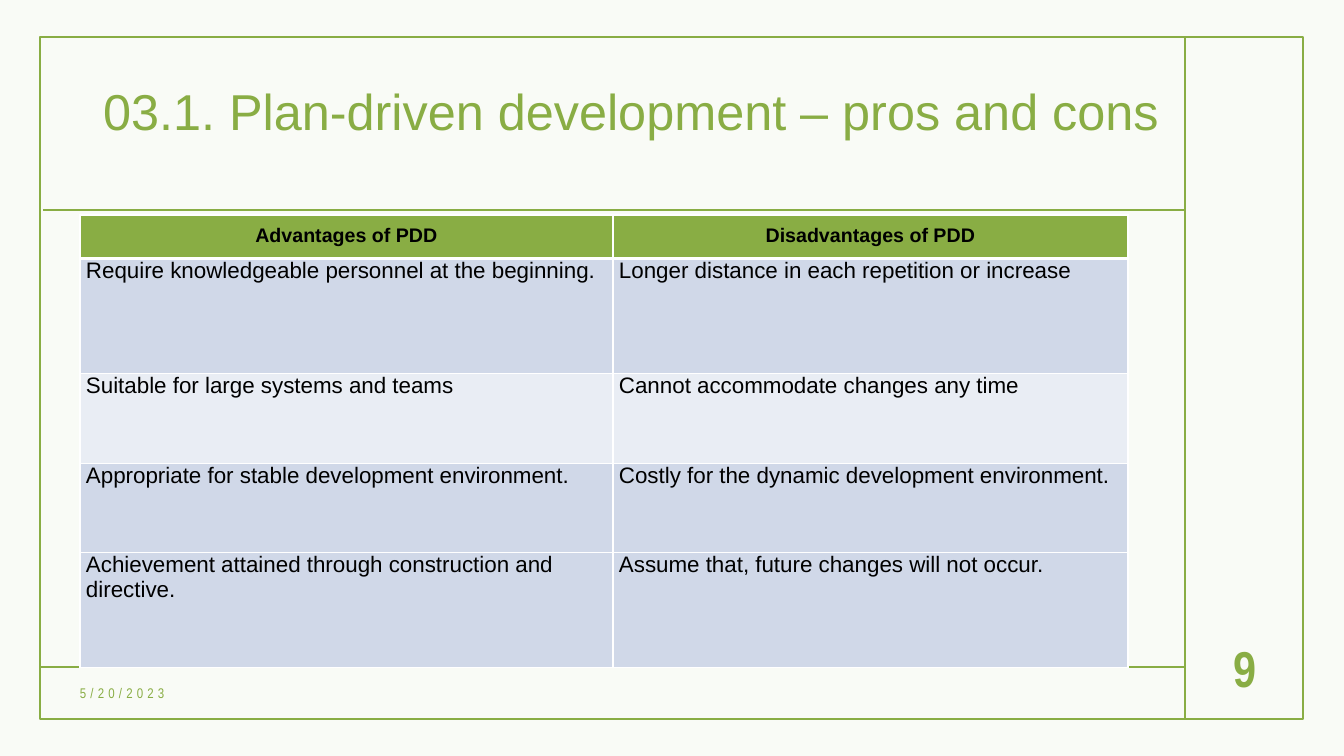
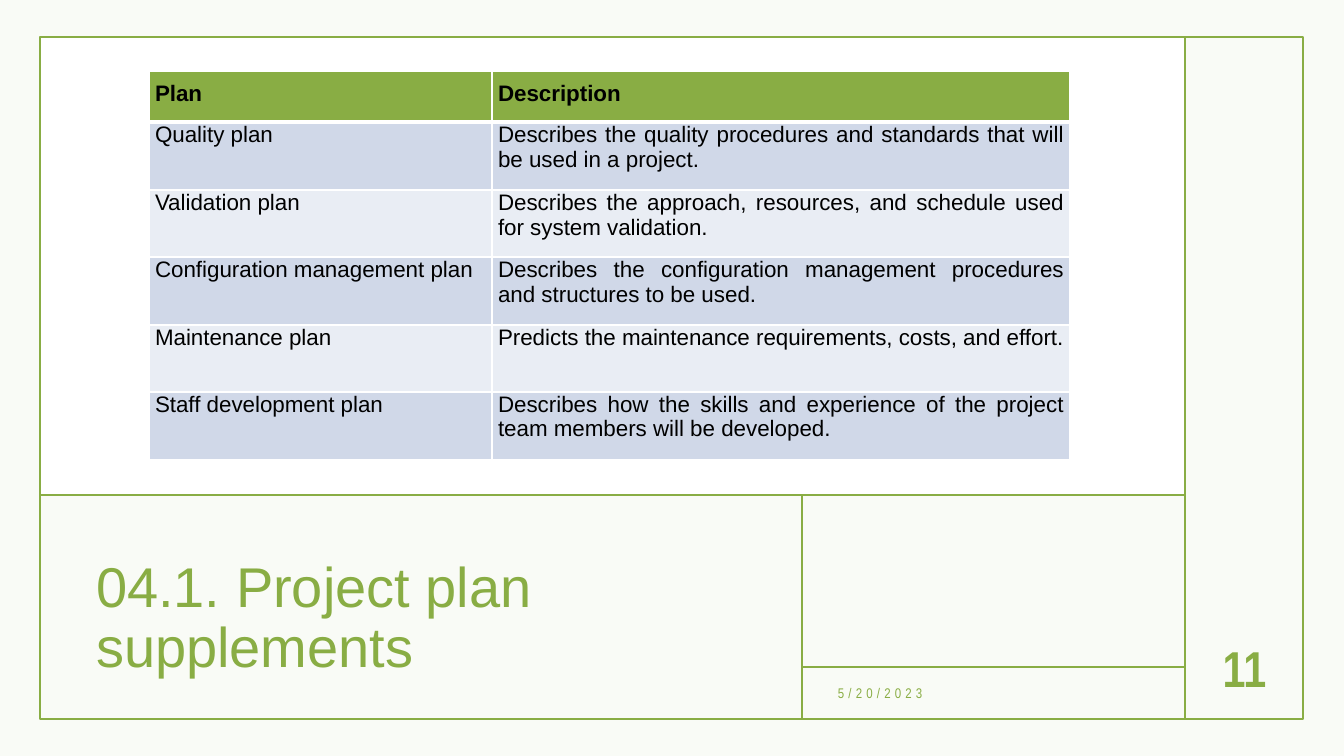
from dataclasses import dataclass
from itertools import cycle

from lxml.etree import SubElement
from pptx import Presentation
from pptx.dml.color import RGBColor
from pptx.enum.shapes import MSO_CONNECTOR as Connector, MSO_SHAPE as Shape
from pptx.enum.text import MSO_ANCHOR as Anchor, MSO_AUTO_SIZE as AutoSize, PP_ALIGN as Align
from pptx.oxml import parse_xml
from pptx.oxml.ns import nsdecls, qn
from pptx.util import Emu, Pt

SLIDE_WIDTH, SLIDE_HEIGHT = 1344, 756
EMU_PER_PX = 12192000 / SLIDE_WIDTH
TITLE_ONLY = 5

FRAME_LEFT, FRAME_TOP, FRAME_RIGHT, FRAME_BOTTOM = 40, 37, 1303, 719
RAIL_X = 1185
FOOTER_LINE_Y = 667


@dataclass(frozen=True)
class Theme:
    accent: str = "89AD44"
    background: str = "F9FBF6"
    white: str = "FFFFFF"
    ink: str = "000000"
    band_dark: str = "D0D8E8"
    band_light: str = "E9EDF4"
    font: str = "Arial"
    narrow_font: str = "Arial Narrow"
    title_size: int = 36
    large_title_size: int = 40
    number_size: int = 36
    date_size: int = 10
    body_size: int = 16
    small_header_size: int = 14
    line_width: int = 1
    header_rule_width: int = 3


THEME = Theme()


def px(length):
    return Emu(round(length * EMU_PER_PX))


def rgb(color):
    return RGBColor.from_string(color)


def put_text(frame, text, *, size, color=THEME.accent, font=THEME.font, bold=False,
             align=Align.LEFT, line_spacing=None, tracking=None):
    paragraph = frame.paragraphs[0]
    paragraph.alignment = align
    if line_spacing:
        paragraph.line_spacing = line_spacing
    run = paragraph.add_run()
    run.text = text
    run.font.name = font
    run.font.size = Pt(size)
    run.font.bold = bold
    run.font.color.rgb = rgb(color)
    if tracking:
        run.font._element.set("spc", str(tracking * 100))


def set_borders(cell, top, bottom):
    """Give the cell white borders; top and bottom are widths in points."""
    properties = cell._tc.get_or_add_tcPr()
    widths = {"L": THEME.line_width, "R": THEME.line_width, "T": top, "B": bottom}
    for position, (side, width) in enumerate(widths.items()):
        border = parse_xml(
            f'<a:ln{side} {nsdecls("a")} w="{Pt(width)}"><a:solidFill>'
            f'<a:srgbClr val="{THEME.white}"/></a:solidFill></a:ln{side}>')
        properties.insert(position, border)


class Deck:
    def __init__(self):
        self.presentation = Presentation()
        self.presentation.slide_width = px(SLIDE_WIDTH)
        self.presentation.slide_height = px(SLIDE_HEIGHT)
        self.slide = None

    def add_slide(self):
        layout = self.presentation.slide_layouts[TITLE_ONLY]
        self.slide = self.presentation.slides.add_slide(layout)
        fill = self.slide.background.fill
        fill.solid()
        fill.fore_color.rgb = rgb(THEME.background)

    def title(self, text, left, top, width, height, *, size, anchor):
        title = self.slide.shapes.title
        title.left, title.top = px(left), px(top)
        title.width, title.height = px(width), px(height)
        frame = title.text_frame
        frame.auto_size = AutoSize.NONE
        frame.word_wrap = True
        frame.vertical_anchor = anchor
        put_text(frame, text, size=size, line_spacing=0.9)

    def rectangle(self, left, top, width, height, *, fill=None, line=None):
        shape = self.slide.shapes.add_shape(
            Shape.RECTANGLE, px(left), px(top), px(width), px(height))
        shape.shadow.inherit = False
        if fill:
            shape.fill.solid()
            shape.fill.fore_color.rgb = rgb(fill)
        else:
            shape.fill.background()
        if line:
            shape.line.color.rgb = rgb(line)
            shape.line.width = Pt(THEME.line_width)
        else:
            shape.line.fill.background()

    def line(self, x1, y1, x2, y2):
        connector = self.slide.shapes.add_connector(
            Connector.STRAIGHT, px(x1), px(y1), px(x2), px(y2))
        connector.line.color.rgb = rgb(THEME.accent)
        connector.line.width = Pt(THEME.line_width)
        SubElement(connector._element.spPr, qn("a:effectLst"))

    def text_box(self, text, left, top, width, height, **text_format):
        box = self.slide.shapes.add_textbox(px(left), px(top), px(width), px(height))
        frame = box.text_frame
        frame.word_wrap = True
        frame.vertical_anchor = Anchor.MIDDLE
        put_text(frame, text, **text_format)

    def frame(self, footer_left):
        """Draw the outer frame, the right-hand rail and the line above the date."""
        self.rectangle(FRAME_LEFT, FRAME_TOP, FRAME_RIGHT - FRAME_LEFT,
                       FRAME_BOTTOM - FRAME_TOP, line=THEME.accent)
        self.line(RAIL_X, FRAME_TOP, RAIL_X, FRAME_BOTTOM)
        self.line(footer_left, FOOTER_LINE_Y, RAIL_X, FOOTER_LINE_Y)

    def footer(self, date, number, date_left):
        self.text_box(date, date_left, 677, 325, 32, size=THEME.date_size,
                      font=THEME.narrow_font, tracking=3)
        self.text_box(number, 1192, 625, 105, 84, size=THEME.number_size,
                      font=THEME.narrow_font, bold=True, align=Align.CENTER)

    def table(self, rows, left, top, widths, heights, *, header_size, header_align,
              body_aligns, bands=(THEME.band_dark, THEME.band_light)):
        """Draw a table whose first row is the header; bands repeat down the body."""
        table = self.slide.shapes.add_table(
            len(rows), len(widths), px(left), px(top),
            px(sum(widths)), px(sum(heights))).table
        table.first_row = table.horz_banding = False
        for column, width in zip(table.columns, widths):
            column.width = px(width)
        band_cycle = cycle(bands)
        for index, (values, height) in enumerate(zip(rows, heights)):
            table.rows[index].height = px(height)
            header = index == 0
            fill = THEME.accent if header else next(band_cycle)
            size = header_size if header else THEME.body_size
            aligns = [header_align] * len(widths) if header else body_aligns
            top_rule = THEME.header_rule_width if index == 1 else THEME.line_width
            bottom_rule = THEME.header_rule_width if header else THEME.line_width
            for column, (text, align) in enumerate(zip(values, aligns)):
                cell = table.cell(index, column)
                cell.margin_left = cell.margin_right = px(6)
                cell.margin_top = px(10 if header else 0)
                cell.margin_bottom = px(10)
                cell.fill.solid()
                cell.fill.fore_color.rgb = rgb(fill)
                set_borders(cell, top_rule, bottom_rule)
                put_text(cell.text_frame, text, size=size, color=THEME.ink,
                         bold=header, align=align)


DATE = "5/20/2023"

PROS_AND_CONS = [
    ("Advantages of PDD", "Disadvantages of PDD"),
    ("Require knowledgeable personnel at the beginning.",
     "Longer distance in each repetition or increase"),
    ("Suitable for large systems and teams", "Cannot accommodate changes any time"),
    ("Appropriate for stable development environment.",
     "Costly for the dynamic development environment."),
    ("Achievement attained through construction and directive.",
     "Assume that, future changes will not occur."),
]

PLAN_SUPPLEMENTS = [
    ("Plan", "Description"),
    ("Quality plan",
     "Describes the quality procedures and standards that will be used in a project."),
    ("Validation plan",
     "Describes the approach, resources, and schedule used for system validation."),
    ("Configuration management plan",
     "Describes the configuration management procedures and structures to be used."),
    ("Maintenance plan", "Predicts the maintenance requirements, costs, and effort."),
    ("Staff development plan",
     "Describes how the skills and experience of the project team members will be "
     "developed."),
]


def add_pros_and_cons(deck):
    deck.add_slide()
    deck.title("03.1. Plan-driven development – pros and cons", 93, 60, 1085, 109,
               size=THEME.title_size, anchor=Anchor.MIDDLE)
    deck.frame(footer_left=FRAME_LEFT)
    deck.line(43, 210, RAIL_X, 210)
    deck.footer(DATE, "9", date_left=70)
    deck.table(PROS_AND_CONS, 80, 215, (533, 515), (43, 115, 90, 89, 115),
               header_size=THEME.small_header_size, header_align=Align.CENTER,
               body_aligns=(Align.LEFT, Align.LEFT),
               bands=(THEME.band_dark, THEME.band_light, THEME.band_dark, THEME.band_dark))


def add_plan_supplements(deck):
    divider_x, divider_y = 802, 495
    deck.add_slide()
    deck.title("04.1. Project plan supplements", 86, 531, 684, 154,
               size=THEME.large_title_size, anchor=Anchor.BOTTOM)
    deck.rectangle(FRAME_LEFT, FRAME_TOP, RAIL_X - FRAME_LEFT, divider_y - FRAME_TOP,
                   fill=THEME.white)
    deck.frame(footer_left=divider_x)
    deck.line(FRAME_LEFT, divider_y, RAIL_X, divider_y)
    deck.line(divider_x, divider_y, divider_x, FRAME_BOTTOM)
    deck.footer(DATE, "11", date_left=828)
    deck.table(PLAN_SUPPLEMENTS, 149, 71, (343, 578), (51, 68, 67, 68, 67, 68),
               header_size=THEME.body_size, header_align=Align.JUSTIFY,
               body_aligns=(Align.LEFT, Align.JUSTIFY))


def main():
    deck = Deck()
    add_pros_and_cons(deck)
    add_plan_supplements(deck)
    deck.presentation.save("out.pptx")


if __name__ == "__main__":
    main()
